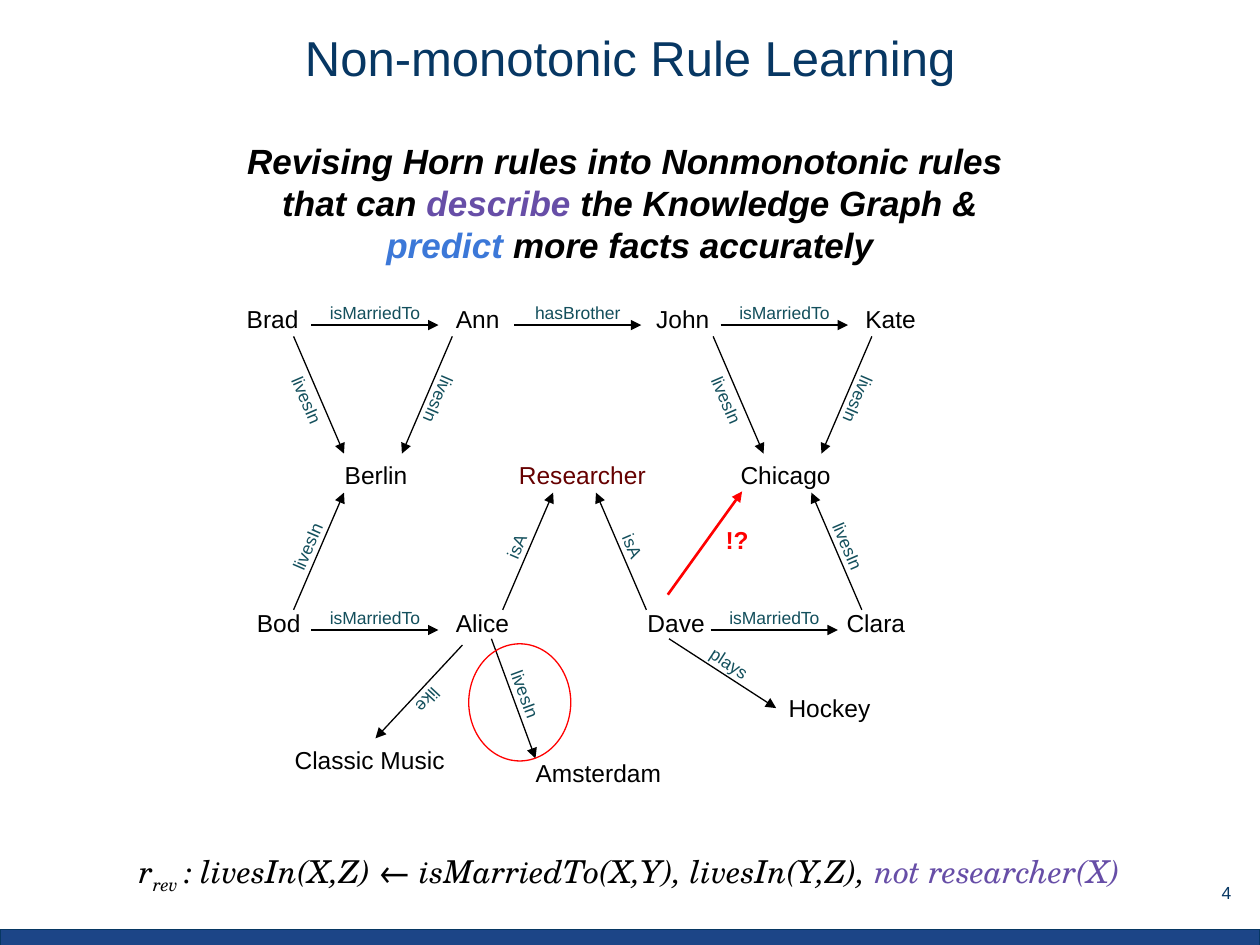
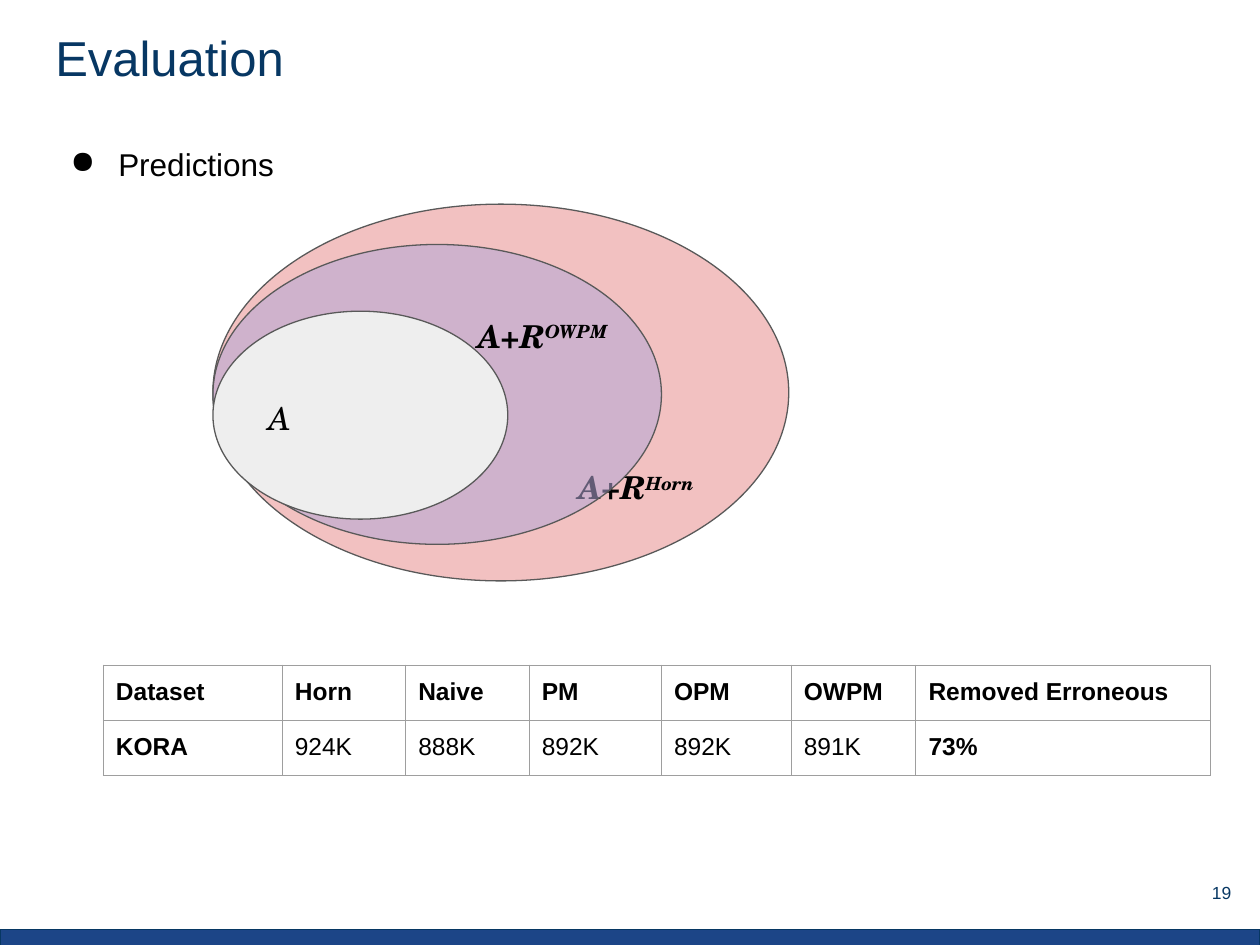
"""Build two slides on rule learning: a knowledge graph and an evaluation."""
from math import atan2, cos, degrees, radians, sin

from lxml.etree import SubElement
from pptx import Presentation
from pptx.dml.color import RGBColor
from pptx.enum.shapes import MSO_CONNECTOR, MSO_SHAPE
from pptx.enum.text import MSO_ANCHOR, PP_ALIGN
from pptx.oxml.ns import qn
from pptx.util import Inches, Pt

LEFT, MID, RIGHT = PP_ALIGN.LEFT, PP_ALIGN.CENTER, PP_ALIGN.RIGHT
TOP, CENTRE = MSO_ANCHOR.TOP, MSO_ANCHOR.MIDDLE
LINE = MSO_CONNECTOR.STRAIGHT
RECT, OVAL = MSO_SHAPE.RECTANGLE, MSO_SHAPE.OVAL

SANS, SERIF = "Arial", "TeX Gyre Schola"
BLACK, NAVY, BLUE, TEAL, RED = "000000", "073763", "1C4587", "134F5C", "FF0000"
PURPLE, SKY, MAROON, GREY, RULE = "674EA7", "3C78D8", "660000", "595959", "9E9E9E"

BAND = (0, 7.38, 10, 0.13)
TITLE = (0.34, 0.12, 9.32, 0.83)
BODY = (0.34, 1.01, 9.32, 6.13)
NUMBER = (9.27, 6.8, 0.6, 0.57)

CLAIM = [
    [("Revising Horn rules into Nonmonotonic rules ",)],
    [("that can ",), ("describe", PURPLE), (" the Knowledge Graph &",)],
    [("predict", SKY), (" more facts accurately",)],
]
FORMULA = [[
    ("r",), ("rev ", BLACK, -25),
    (": livesIn(X,Z) ← isMarriedTo(X,Y), livesIn(Y,Z), ",),
    ("not researcher(X)", PURPLE),
]]

HIGH, PLACE, LOW = 2.39, 3.63, 4.8
NODES = [
    ("Brad", 1.86, HIGH, 0.64, LEFT), ("Ann", 3.52, HIGH, 0.56, LEFT),
    ("John", 5.11, HIGH, 0.64, LEFT), ("Kate", 6.77, HIGH, 0.64, LEFT),
    ("Berlin", 2.5, PLACE, 0.97, MID), ("Researcher", 4.02, PLACE, 1.26, LEFT),
    ("Chicago", 5.75, PLACE, 0.97, MID), ("Bod", 1.94, LOW, 0.61, LEFT),
    ("Alice", 3.52, LOW, 0.64, LEFT), ("Dave", 5.04, LOW, 0.72, LEFT),
    ("Clara", 6.62, LOW, 0.72, LEFT), ("Hockey", 6.16, 5.48, 0.95, LEFT),
    ("Classic Music", 2.24, 5.89, 1.47, LEFT), ("Amsterdam", 4.12, 5.99, 1.26, MID),
]
FLATS = [
    ("isMarriedTo", 2.47, 2.58), ("hasBrother", 4.08, 2.58), ("isMarriedTo", 5.72, 2.58),
    ("isMarriedTo", 2.47, 5), ("isMarriedTo", 5.64, 5),
]
DOWNS = [
    ("livesIn", 2.33, 0.4, -1), ("livesIn", 3.59, -0.4, 1),
    ("livesIn", 5.66, 0.4, -1), ("livesIn", 6.92, -0.4, 1),
]
UPS = [
    ("livesIn", 2.33, 0.4), ("isA", 3.99, 0.4),
    ("isA", 5.13, -0.4), ("livesIn", 6.84, -0.4),
]
LOOSE = [
    ("livesIn", 3.9, 5.07, 4.25, 6.02), ("plays", 5.31, 5.07, 6.16, 5.62),
    ("like", 3.67, 5.12, 2.98, 5.86),
]
SPAN, TALL, GAP = 1.01, 0.2, 0.1

WIDTHS = [1.42, 0.98, 0.98, 1.05, 1.03, 0.99, 2.34]
HEIGHTS = [0.44, 0.42]
ROWS = [
    ["Dataset", "Horn", "Naive", "PM", "OPM", "OWPM", "Removed Erroneous"],
    ["KORA", "924K", "888K", "892K", "892K", "891K", "73%"],
]


def rgb(code):
    return RGBColor.from_string(code)


def inches(box):
    return [Inches(n) for n in box]


def write(frame, paras, size=14, color=BLACK, font=SANS, align=LEFT, anchor=TOP,
          bold=False, italic=False, line=None, after=None, bullet=None):
    frame.word_wrap = True
    frame.vertical_anchor = anchor
    frame.margin_left = frame.margin_right = Inches(0.1)
    frame.margin_top = frame.margin_bottom = Inches(0.1)
    if isinstance(paras, str):
        paras = [[(paras,)]]
    for i, runs in enumerate(paras):
        para = frame.paragraphs[0] if i == 0 else frame.add_paragraph()
        para.alignment = align
        if line:
            para.line_spacing = line
        if after:
            para.space_after = Pt(after)
        if bullet:
            props = para._p.get_or_add_pPr()
            props.set("marL", str(Inches(0.5)))
            props.set("indent", str(Inches(-0.38)))
            tint = SubElement(props, qn("a:buClr"))
            SubElement(tint, qn("a:srgbClr"), val=color)
            SubElement(props, qn("a:buChar"), char=bullet)
        style = para.font
        style.name, style.size, style.bold, style.italic = font, Pt(size), bold, italic
        style.color.rgb = rgb(color)
        for words, *extra in runs:
            run = para.add_run()
            run.text = words
            if extra:
                run.font.color.rgb = rgb(extra[0])
            if len(extra) > 1:
                run._r.get_or_add_rPr().set("baseline", str(extra[1] * 1000))


def text(slide, box, paras, turn=0, **style):
    shape = slide.shapes.add_textbox(*inches(box))
    shape.rotation = turn
    write(shape.text_frame, paras, **style)


def form(slide, kind, box, line, fill=None, alpha=None):
    shape = slide.shapes.add_shape(kind, *inches(box))
    shape.shadow.inherit = False
    shape.line.color.rgb = rgb(line)
    shape.line.width = Pt(0.75)
    if fill:
        shape.fill.solid()
        shape.fill.fore_color.rgb = rgb(fill)
    else:
        shape.fill.background()
    if alpha:
        tint = shape._element.spPr.find(qn("a:solidFill")).find(qn("a:srgbClr"))
        SubElement(tint, qn("a:alpha"), val=str(alpha * 1000))
    return shape


def arrow(slide, x1, y1, x2, y2, color=BLACK, width=0.75):
    link = slide.shapes.add_connector(LINE, *inches((x1, y1, x2, y2)))
    link.line.color.rgb = rgb(color)
    link.line.width = Pt(width)
    SubElement(link.line._get_or_add_ln(), qn("a:tailEnd"), type="triangle")
    SubElement(link._element.spPr, qn("a:effectLst"))


def edge(slide, label, x1, y1, x2, y2, side=1):
    arrow(slide, x1, y1, x2, y2)
    turn = degrees(atan2(y2 - y1, x2 - x1))
    if turn < -90:
        turn += 180
    x = (x1 + x2) / 2 + side * GAP * sin(radians(turn))
    y = (y1 + y2) / 2 - side * GAP * cos(radians(turn))
    text(slide, (x - SPAN / 2, y - TALL / 2, SPAN, TALL), label, turn % 360,
         size=10, color=TEAL, align=MID, anchor=CENTRE)


def base(deck, title, number, align=LEFT):
    slide = deck.slides.add_slide(deck.slide_layouts[6])
    form(slide, RECT, BAND, NAVY, BLUE)
    text(slide, TITLE, title, size=28, color=NAVY, align=align)
    text(slide, NUMBER, number, size=10, color=NAVY, align=RIGHT, anchor=CENTRE)
    return slide


def graph(deck):
    slide = base(deck, "Non-monotonic Rule Learning", "4", MID)
    text(slide, BODY, CLAIM, size=20, align=MID, bold=True, italic=True)
    text(slide, (0.86, 6.61, 8.27, 0.67), FORMULA, size=18, font=SERIF,
         align=MID, italic=True, line=1.15, after=16)
    for label, x, y in FLATS:
        edge(slide, label, x, y, x + SPAN, y)
    for label, x, run, side in DOWNS:
        edge(slide, label, x, 2.67, x + run, 3.6, side)
    for label, x, run in UPS:
        edge(slide, label, x, 4.84, x + run, 3.91)
    for item in LOOSE:
        edge(slide, *item)
    for name, x, y, wide, align in NODES:
        color = MAROON if name == "Researcher" else BLACK
        text(slide, (x, y, wide, 0.28), name, color=color, align=align, anchor=CENTRE)
    arrow(slide, 5.3, 4.72, 5.89, 3.9, RED, 1.5)
    text(slide, (5.66, 4.17, 0.41, 0.22), "!?", color=RED, bold=True, anchor=CENTRE)
    form(slide, OVAL, (3.72, 5.11, 0.81, 0.93), RED)


def border(cell):
    props = cell._tc.get_or_add_tcPr()
    for side in ("lnL", "lnR", "lnT", "lnB"):
        line = SubElement(props, qn("a:" + side), w=str(Pt(0.75)))
        SubElement(SubElement(line, qn("a:solidFill")), qn("a:srgbClr"), val=RULE)


def results(slide):
    box = (0.82, 5.28, sum(WIDTHS), sum(HEIGHTS))
    table = slide.shapes.add_table(len(ROWS), len(WIDTHS), *inches(box)).table
    table.first_row = table.horz_banding = False
    for col, wide in zip(table.columns, WIDTHS):
        col.width = Inches(wide)
    for r, row in enumerate(ROWS):
        table.rows[r].height = Inches(HEIGHTS[r])
        for c, value in enumerate(row):
            cell = table.cell(r, c)
            border(cell)
            cell.fill.background()
            cell.margin_left = cell.margin_right = Inches(0.1)
            cell.margin_top = cell.margin_bottom = Inches(0.1)
            para = cell.text_frame.paragraphs[0]
            para.text = value
            para.font.name, para.font.size = SANS, Pt(14)
            para.font.bold = r == 0 or c in (0, len(row) - 1)
            para.font.color.rgb = rgb(BLACK)


def venn(slide):
    style = dict(size=18, font=SERIF, italic=True, line=1.15, after=16)
    form(slide, OVAL, (1.69, 1.62, 4.57, 2.99), GREY, "EA9999", 60)
    text(slide, (4.49, 3.57, 1.33, 0.83), [[("A+R",), ("Horn", BLACK, 30)]],
         bold=True, **style)
    form(slide, OVAL, (1.69, 1.94, 3.56, 2.38), GREY, "B4A7D6", 55)
    core = form(slide, OVAL, (1.69, 2.47, 2.34, 1.65), GREY, "EEEEEE")
    write(core.text_frame, "A", anchor=CENTRE, **style)
    text(slide, (3.69, 2.37, 1.39, 0.83), [[("A+R",), ("OWPM", BLACK, 30)]],
         bold=True, **style)


def main():
    deck = Presentation()
    deck.slide_width, deck.slide_height = Inches(10), Inches(7.5)
    graph(deck)
    slide = base(deck, "Evaluation", "19")
    text(slide, BODY, "Predictions", size=18, line=1.15, bullet="●")
    results(slide)
    venn(slide)
    deck.save("out.pptx")


if __name__ == "__main__":
    main()
